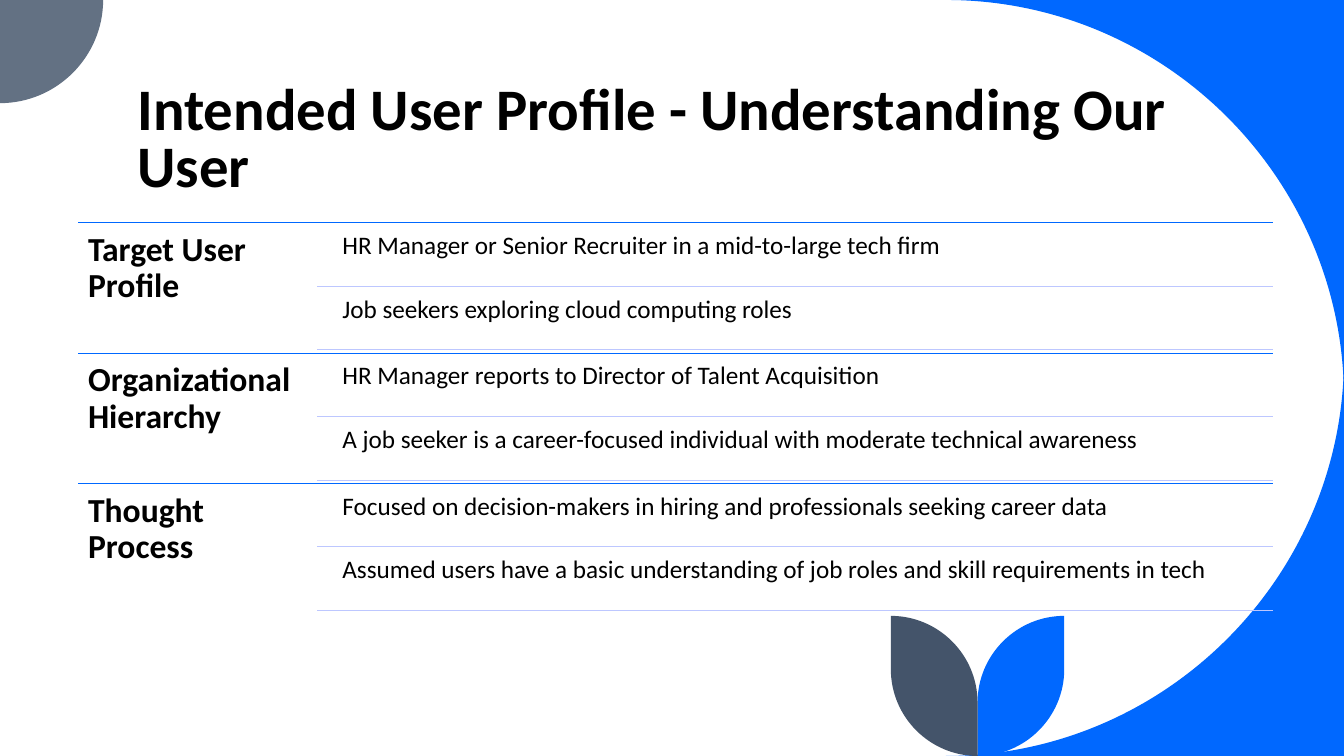
from lxml import etree
from pptx import Presentation
from pptx.dml.color import RGBColor
from pptx.enum.shapes import MSO_CONNECTOR
from pptx.enum.text import MSO_ANCHOR
from pptx.oxml.ns import qn
from pptx.util import Cm, Pt

STRAIGHT = MSO_CONNECTOR.STRAIGHT
TOP, BOTTOM = MSO_ANCHOR.TOP, MSO_ANCHOR.BOTTOM

BLUE = RGBColor(0x00, 0x68, 0xFF)
PALE_BLUE = RGBColor(0xBD, 0xC7, 0xFF)
SLATE = RGBColor(0x44, 0x54, 0x6A)
GREY = RGBColor(0x63, 0x71, 0x83)
BLACK = RGBColor(0x00, 0x00, 0x00)
FONT = "Calibri"
ROUNDNESS = 0.55

PAGE_WIDTH, PAGE_HEIGHT = 33.87, 19.05
TITLE = "Intended User Profile - Understanding Our User"
SECTIONS = [
    ("Target User Profile", [
        "HR Manager or Senior Recruiter in a mid-to-large tech firm",
        "Job seekers exploring cloud computing roles",
    ]),
    ("Organizational Hierarchy", [
        "HR Manager reports to Director of Talent Acquisition",
        "A job seeker is a career-focused individual with moderate technical awareness",
    ]),
    ("Thought Process", [
        "Focused on decision-makers in hiring and professionals seeking career data",
        "Assumed users have a basic understanding of job roles and skill requirements in tech",
    ]),
]


def bend(line, start, end, corner, origin):
    """Turn a straight path segment into a quarter round that bulges to the corner."""
    line.tag = qn("a:cubicBezTo")
    for index, point in enumerate((start, end)):
        x, y = (Cm(p + ROUNDNESS * (c - p)) - o for p, c, o in zip(point, corner, origin))
        control = etree.Element(qn("a:pt"), x=str(x), y=str(y))
        line.insert(index, control)


def add_outline(page, start, segments, color):
    """Draw a closed outline; each segment is an end point and a corner or None."""
    builder = page.shapes.build_freeform(Cm(start[0]), Cm(start[1]), scale=1.0)
    builder.add_line_segments([(Cm(x), Cm(y)) for (x, y), corner in segments], close=True)
    shape = builder.convert_to_shape()
    shape.shadow.inherit = False
    shape.fill.solid()
    shape.fill.fore_color.rgb = color
    shape.line.fill.background()
    lines = list(shape._element.iter(qn("a:lnTo")))
    for line, (end, corner) in zip(lines, segments):
        if corner:
            bend(line, start, end, corner, (shape.left, shape.top))
        start = end


def add_text(page, text, left, top, width, height, size, bold=False,
             anchor=TOP, spacing=0.9, inset_x=0.25, inset_y=0.25):
    box = page.shapes.add_textbox(Cm(left), Cm(top), Cm(width), Cm(height))
    frame = box.text_frame
    frame.word_wrap = True
    frame.vertical_anchor = anchor
    frame.margin_left = frame.margin_right = Cm(inset_x)
    frame.margin_top = frame.margin_bottom = Cm(inset_y)
    para = frame.paragraphs[0]
    para.line_spacing = spacing
    span = para.add_run()
    span.text = text
    span.font.name = FONT
    span.font.size = Pt(size)
    span.font.bold = bold
    span.font.color.rgb = BLACK


def add_rule(page, left, right, y, color, shadow=False):
    rule = page.shapes.add_connector(STRAIGHT, Cm(left), Cm(y), Cm(right), Cm(y))
    rule.line.color.rgb = color
    rule.line.width = Pt(0.5)
    effects = etree.SubElement(rule._element.spPr, qn("a:effectLst"))
    if shadow:
        outer = etree.SubElement(effects, qn("a:outerShdw"), blurRad=str(Pt(4.5)),
                                 dist=str(Pt(1.5)), dir="5400000", rotWithShape="0")
        tone = etree.SubElement(outer, qn("a:srgbClr"), val=str(BLACK))
        etree.SubElement(tone, qn("a:alpha"), val="63000")


def add_corners(page, width, height):
    radius, small = 10.03, 2.6
    edge = width - radius
    add_outline(page, (width, 0), [((edge, 0), None), ((width, radius), (width, 0))], BLUE)
    add_outline(page, (width, height - radius),
                [((edge, height), (width, height)), ((width, height), None)], BLUE)
    add_outline(page, (0, 0), [((small, 0), None), ((0, small), (small, small))], GREY)


def add_leaves(page, left, top, width, height):
    """Two mirrored leaves that meet on the centre line of the box."""
    radius = width / 2
    stem, bottom = left + radius, top + height
    for tip, color in ((left + width, BLUE), (left, SLATE)):
        add_outline(page, (tip, top), [
            ((tip, bottom - radius), None),
            ((stem, bottom), (tip, bottom)),
            ((stem, top + radius), None),
            ((tip, top), (stem, top)),
        ], color)


def add_section(page, label, items, left, top, width, height):
    right = left + width
    label_width, item_indent, gap = 6.02, 6.48, 0.08
    pitch = (height - gap) / len(items)
    add_rule(page, left, right, top, BLUE, shadow=True)
    add_text(page, label, left, top, label_width, height, size=24, bold=True)
    for index, item in enumerate(items):
        row_top = top + index * pitch
        add_text(page, item, left + item_indent, row_top + gap, width - item_indent,
                 pitch - gap, size=18, inset_x=0.18, inset_y=0.18)
        add_rule(page, left + label_width, right, row_top + pitch, PALE_BLUE)


def add_profile(page, left, top, width, height):
    section_height = height / len(SECTIONS)
    for index, (label, items) in enumerate(SECTIONS):
        add_section(page, label, items, left, top + index * section_height,
                    width, section_height)


def main():
    deck = Presentation()
    deck.slide_width, deck.slide_height = Cm(PAGE_WIDTH), Cm(PAGE_HEIGHT)
    page = deck.slides.add_slide(deck.slide_layouts[6])
    add_corners(page, PAGE_WIDTH, PAGE_HEIGHT)
    add_leaves(page, 22.45, 15.52, 4.37, 3.53)
    add_text(page, TITLE, 3.22, 0.28, 27.15, 4.85, size=42, bold=True,
             anchor=BOTTOM, spacing=0.8, inset_y=0.13)
    add_profile(page, 1.97, 5.61, 30.12, 9.85)
    deck.save("out.pptx")


if __name__ == "__main__":
    main()
